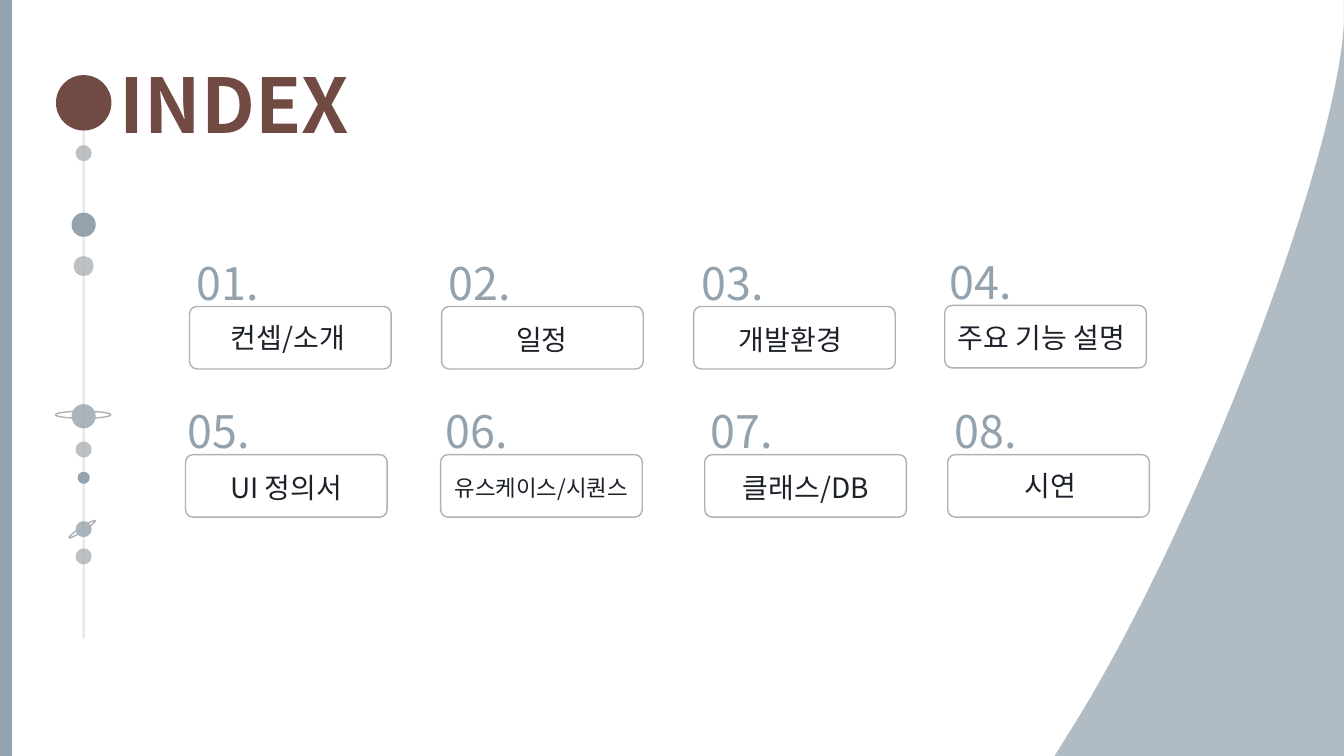
from lxml import etree
from pptx import Presentation
from pptx import util as u
from pptx.dml.color import RGBColor
from pptx.enum import shapes, text
from pptx.oxml.ns import qn

FONT = "Noto Sans CJK KR"
SLATE, GREY, BROWN, INK, RAIL = "94A2AD", "ADB2B6", "714A44", "1D2129", "D9D9D9"
WIDTH, HEIGHT = 13.33, 7.5
BOX_WIDTH, BOX_HEIGHT = 2, 0.62
RAIL_X = 0.83

# label, size, centred, box (left, top), number left, label (left, top, width)
ENTRIES = [
    ("컨셉/소개", 20, False, (1.88, 3.04), 1.85, (2.19, 3.13, 1.56)),
    ("일정", 20, False, (4.38, 3.04), 4.35, (5.02, 3.15, 0.82)),
    ("개발환경", 20, False, (6.88, 3.04), 6.86, (7.23, 3.15, 1.28)),
    ("주요 기능 설명", 20, False, (9.37, 3.03), 9.32, (9.4, 3.13, 2)),
    ("UI 정의서", 20, True, (1.84, 4.51), 1.76, (1.86, 4.62, 1.96)),
    ("유스케이스/시퀀스", 16, False, (4.37, 4.51), 4.32, (4.41, 4.65, 2.1)),
    ("클래스/DB", 20, False, (6.99, 4.51), 6.95, (7.27, 4.62, 1.61)),
    ("시연", 20, True, (9.4, 4.51), 9.37, (9.5, 4.6, 1.83)),
]
PLANETS = [
    (1.02, 0.55, BROWN, 100),
    (1.52, 0.16, GREY, 80),
    (2.23, 0.24, SLATE, 100),
    (2.64, 0.2, GREY, 80),
    (4.13, 0.24, SLATE, 80),
    (4.46, 0.16, GREY, 80),
    (4.74, 0.12, SLATE, 100),
    (5.25, 0.16, SLATE, 80),
    (5.52, 0.16, GREY, 80),
]
RINGS = [(0.55, 4.08, 0.55, 0.07, 0), (0.66, 5.23, 0.31, 0.04, 326.9)]
CURVES = [
    ((10.59, 7.29), (11.05, 6.57), (11.58, 5.52), (12.08, 4.34)),
    ((12.08, 4.34), (13.08, 1.96), (13.59, -0.09), (13.2, -0.25)),
]


def paint(color_format, color, opacity=100):
    color_format.rgb = RGBColor.from_string(color)
    if opacity < 100:
        node = color_format._color._xClr
        etree.SubElement(node, qn("a:alpha")).set("val", str(opacity * 1000))


def style(shape, fill=None, opacity=100, line=None):
    shape.shadow.inherit = False
    if fill:
        shape.fill.solid()
        paint(shape.fill.fore_color, fill, opacity)
    else:
        shape.fill.background()
    if line:
        paint(shape.line.color, line)
        shape.line.width = u.Pt(1)
    else:
        shape.line.fill.background()


def add_preset(slide, kind, left, top, width, height, **look):
    shape = slide.shapes.add_shape(kind, *map(u.Inches, (left, top, width, height)))
    style(shape, **look)
    return shape


def add_text(slide, words, left, top, width, height, size, color, bold=False, centred=False):
    box = slide.shapes.add_textbox(*map(u.Inches, (left, top, width, height)))
    frame = box.text_frame
    frame.word_wrap = True
    frame.auto_size = text.MSO_AUTO_SIZE.SHAPE_TO_FIT_TEXT
    paragraph = frame.paragraphs[0]
    paragraph.alignment = text.PP_ALIGN.CENTER if centred else text.PP_ALIGN.LEFT
    run = paragraph.add_run()
    run.text = words
    run.font.size = u.Pt(size)
    run.font.bold = bold
    run.font.name = FONT
    paint(run.font.color, color)
    etree.SubElement(run.font._element, qn("a:ea")).set("typeface", FONT)


def curve_points(start, first, second, end, steps=40):
    for step in range(steps + 1):
        t = step / steps
        weights = ((1 - t) ** 3, 3 * t * (1 - t) ** 2, 3 * t * t * (1 - t), t ** 3)
        yield tuple(
            sum(weight * point[axis] for weight, point in zip(weights, (start, first, second, end)))
            for axis in (0, 1)
        )


def add_sweep(slide):
    edge = [(min(x, WIDTH), y) for curve in CURVES for x, y in curve_points(*curve) if y >= 0]
    outline = [(WIDTH, HEIGHT), (10.46, HEIGHT), *edge, (WIDTH, 0)]
    points = [(u.Inches(x), u.Inches(y)) for x, y in outline]
    builder = slide.shapes.build_freeform(*points[0])
    builder.add_line_segments(points[1:], close=True)
    style(builder.convert_to_shape(), fill=SLATE, opacity=73)


def add_timeline(slide):
    rail = slide.shapes.add_connector(
        shapes.MSO_CONNECTOR.STRAIGHT, *map(u.Inches, (RAIL_X, 1.15, RAIL_X, 6.33))
    )
    paint(rail.line.color, RAIL, 70)
    rail.line.width = u.Pt(1.5)
    etree.SubElement(rail._element.spPr, qn("a:effectLst"))
    oval = shapes.MSO_SHAPE.OVAL
    for middle, size, color, opacity in PLANETS:
        add_preset(slide, oval, RAIL_X - size / 2, middle - size / 2, size, size,
                   fill=color, opacity=opacity)
    for left, top, width, height, angle in RINGS:
        add_preset(slide, oval, left, top, width, height, line=GREY).rotation = angle


def add_entries(slide):
    for number, (label, size, centred, box, number_left, place) in enumerate(ENTRIES, 1):
        left, top = box
        frame = add_preset(slide, shapes.MSO_SHAPE.ROUNDED_RECTANGLE,
                           left, top, BOX_WIDTH, BOX_HEIGHT, line=GREY)
        frame.adjustments[0] = 0.12
        add_text(slide, f"{number:02}.", number_left, top - 0.55, 0.97, 0.64, 32, SLATE)
        add_text(slide, label, *place, 0.37 if size == 16 else 0.44, size, INK, centred=centred)


def main():
    presentation = Presentation()
    presentation.slide_width = u.Inches(WIDTH)
    presentation.slide_height = u.Inches(HEIGHT)
    slide = presentation.slides.add_slide(presentation.slide_layouts[6])
    add_sweep(slide)
    add_preset(slide, shapes.MSO_SHAPE.RECTANGLE, 0, 0, 0.12, HEIGHT, fill=SLATE)
    add_timeline(slide)
    add_text(slide, "INDEX", 1.09, 0.53, 2.85, 1.01, 54, BROWN, bold=True)
    add_entries(slide)
    presentation.save("out.pptx")


if __name__ == "__main__":
    main()
